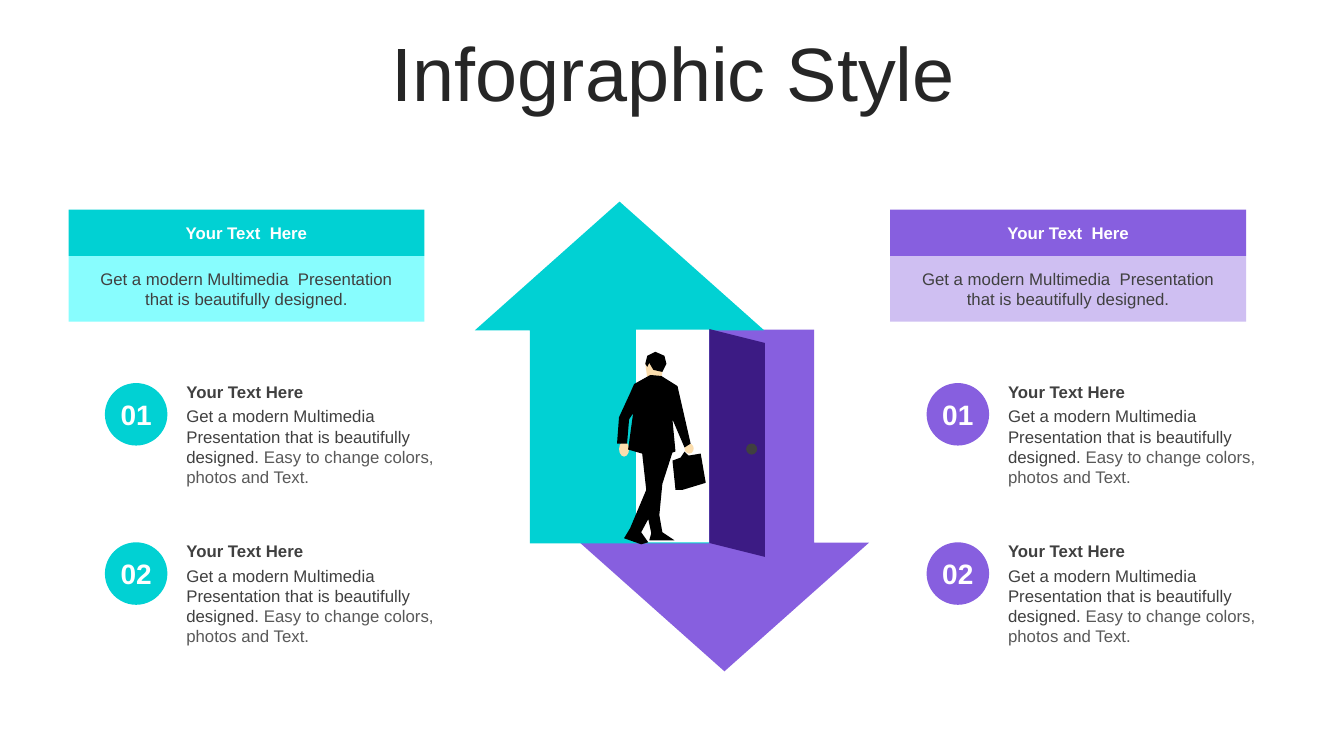
from pptx import Presentation
from pptx.dml.color import RGBColor
from pptx.enum.shapes import MSO_SHAPE
from pptx.enum.text import MSO_ANCHOR, PP_ALIGN
from pptx.util import Inches, Pt

COLORS = {
    "teal": "01D1D3", "light teal": "88FDFE",
    "purple": "875FDF", "light purple": "CFBFF2", "door": "3C1B84",
    "title": "262626", "dark": "404040", "grey": "595959",
    "white": "FFFFFF", "black": "000000", "skin": "FBDDAD",
}
FONT = "Arial"
HEADING = "Your Text Here"
BANNER_HEADING = "Your Text  Here"
BANNER_TEXT = "Get a modern Multimedia  Presentation that is beautifully designed."
ITEM_TEXT = "Get a modern Multimedia Presentation that is beautifully designed. "
ITEM_NOTE = "Easy to change colors, photos and Text."

# Outlines of the walking man, in inches on the slide
FACE = [(6.42, 3.75), (6.4, 3.6), (6.45, 3.59), (6.57, 3.69), (6.56, 3.74)]
HAIR = [(6.4, 3.61), (6.42, 3.53), (6.5, 3.49), (6.59, 3.53), (6.61, 3.61),
        (6.57, 3.69), (6.48, 3.67), (6.44, 3.6), (6.42, 3.64)]
SUIT = [(6.85, 4.4), (6.72, 3.83), (6.56, 3.73), (6.45, 3.72), (6.29, 3.81),
        (6.25, 3.9), (6.14, 4.14), (6.12, 4.4), (6.22, 4.4), (6.24, 4.16),
        (6.28, 4.1), (6.23, 4.46), (6.37, 4.5), (6.41, 4.86), (6.25, 5.24),
        (6.19, 5.34), (6.36, 5.4), (6.43, 5.38), (6.36, 5.28), (6.43, 5.15),
        (6.46, 5.29), (6.44, 5.36), (6.69, 5.36), (6.57, 5.28), (6.54, 5.11),
        (6.57, 4.8), (6.67, 4.49), (6.7, 4.48), (6.67, 4.16), (6.79, 4.44)]
BRIEFCASE = [(7, 4.79), (6.95, 4.5), (6.83, 4.52), (6.79, 4.48),
             (6.75, 4.54), (6.67, 4.57), (6.7, 4.86), (6.77, 4.86)]


def rgb(name):
    return RGBColor.from_string(COLORS[name])


def paint(s, color):
    s.shadow.inherit = False
    s.fill.solid()
    s.fill.fore_color.rgb = rgb(color)
    s.line.fill.background()


def add_preset(shapes, kind, box, color, rotation=0):
    s = shapes.add_shape(kind, *map(Inches, box))
    paint(s, color)
    s.rotation = rotation
    return s


def add_outline(shapes, points, color):
    corners = [(Inches(x), Inches(y)) for x, y in points]
    builder = shapes.build_freeform(*corners[0])
    builder.add_line_segments(corners[1:])
    paint(builder.convert_to_shape(), color)


def write(s, runs, size=12, bold=False, align=PP_ALIGN.CENTER, side=0.1):
    """Fill a shape with one paragraph made of (text, color) runs."""
    tf = s.text_frame
    tf.word_wrap = True
    tf.margin_left = tf.margin_right = Inches(side)
    p = tf.paragraphs[0]
    p.alignment = align
    for text, color in runs:
        r = p.add_run()
        r.text = text
        r.font.name = FONT
        r.font.size = Pt(size)
        r.font.bold = bold
        r.font.color.rgb = rgb(color)
    return p


def add_text(shapes, box, runs, **style):
    s = shapes.add_textbox(*map(Inches, box))
    return s, write(s, runs, **style)


def add_title(slide):
    s, p = add_text(slide.shapes, (0.35, 0.37, 12.66, 0.79),
                    [("Infographic Style", "title")], size=54)
    s.text_frame.vertical_anchor = MSO_ANCHOR.MIDDLE
    p.line_spacing = 0.9


def add_banner(shapes, left, color):
    head = add_preset(shapes, MSO_SHAPE.RECTANGLE, (left, 2.08, 3.53, 0.46), color)
    write(head, [(BANNER_HEADING, "white")], bold=True)
    body = add_preset(shapes, MSO_SHAPE.RECTANGLE, (left, 2.54, 3.53, 0.65),
                      "light " + color)
    write(body, [(BANNER_TEXT, "dark")], side=0.24)


def add_item(shapes, left, top, number, color):
    badge = add_preset(shapes, MSO_SHAPE.OVAL, (left, top + 0.06, 0.62, 0.62), color)
    write(badge, [(number, "white")], size=20, bold=True, side=0)
    text_left = left + 0.71
    add_text(shapes, (text_left, top, 2.76, 0.3), [(HEADING, "dark")],
             bold=True, align=PP_ALIGN.LEFT)
    add_text(shapes, (text_left, top + 0.24, 2.76, 0.91),
             [(ITEM_TEXT, "dark"), (ITEM_NOTE, "grey")], align=PP_ALIGN.LEFT)


def add_column(slide, left, color):
    shapes = slide.shapes.add_group_shape().shapes
    add_banner(shapes, left, color)
    for i in range(2):
        add_item(shapes, left + 0.36, 3.74 + i * 1.58, f"{i + 1:02}", color)


def add_man(shapes):
    add_outline(shapes, FACE, "skin")
    add_outline(shapes, HAIR, "black")
    for hand in ((6.14, 4.38, 0.1, 0.15), (6.79, 4.4, 0.09, 0.1)):
        add_preset(shapes, MSO_SHAPE.OVAL, hand, "skin")
    add_outline(shapes, SUIT, "black")
    add_outline(shapes, BRIEFCASE, "black")


def add_door_scene(slide):
    shapes = slide.shapes.add_group_shape().shapes
    for left, top, color, rotation in ((5.75, 3.27, "purple", 180),
                                       (4.71, 2, "teal", 0)):
        arrow = add_preset(shapes, MSO_SHAPE.UP_ARROW, (left, top, 2.87, 3.39),
                           color, rotation)
        arrow.adjustments[0] = 0.62
        arrow.adjustments[1] = 0.445
    add_preset(shapes, MSO_SHAPE.RECTANGLE, (6.31, 3.27, 0.72, 2.11), "white")
    add_man(shapes)
    add_preset(shapes, MSO_SHAPE.PARALLELOGRAM, (6.18, 4.12, 2.26, 0.55), "door", 90)
    add_preset(shapes, MSO_SHAPE.OVAL, (7.4, 4.4, 0.11, 0.11), "dark")


def main():
    prs = Presentation()
    prs.slide_width, prs.slide_height = Inches(13.33), Inches(7.5)
    slide = prs.slides.add_slide(prs.slide_layouts[6])
    add_title(slide)
    add_door_scene(slide)
    add_column(slide, 0.68, "teal")
    add_column(slide, 8.83, "purple")
    prs.save("out.pptx")


if __name__ == "__main__":
    main()
